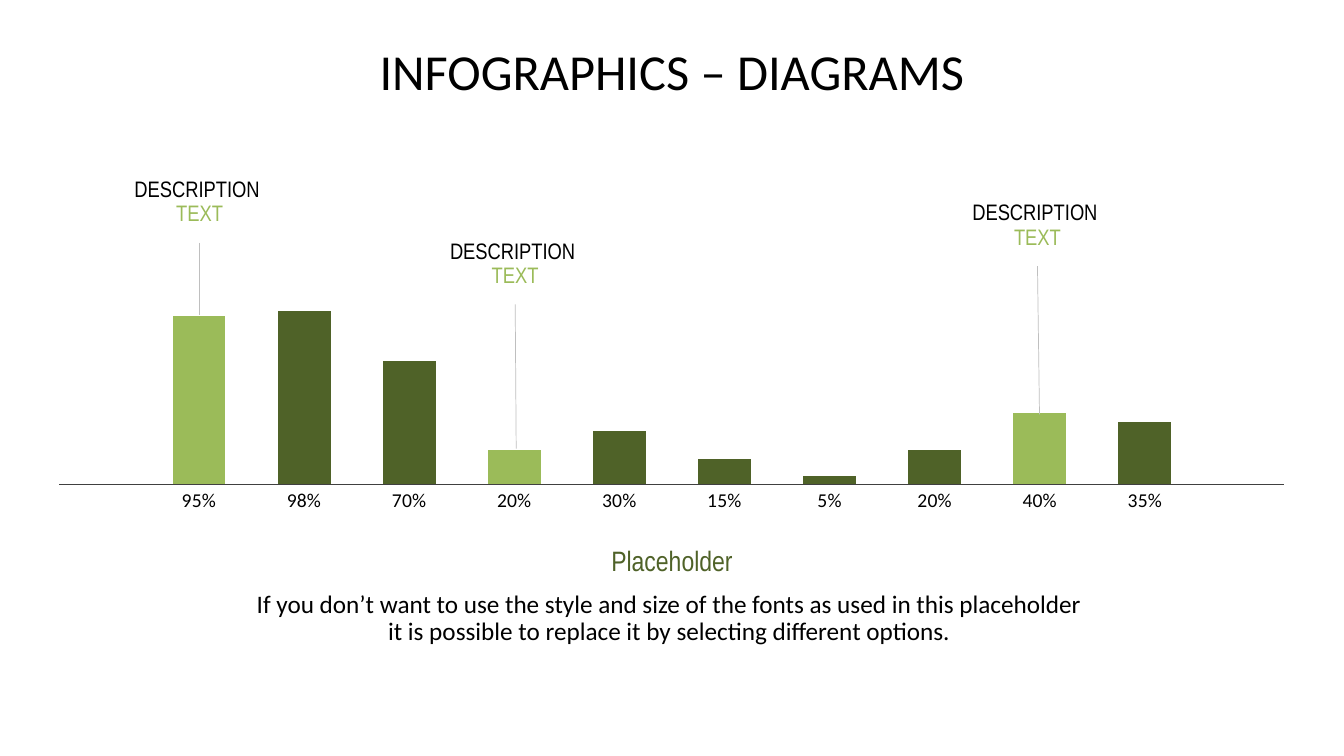
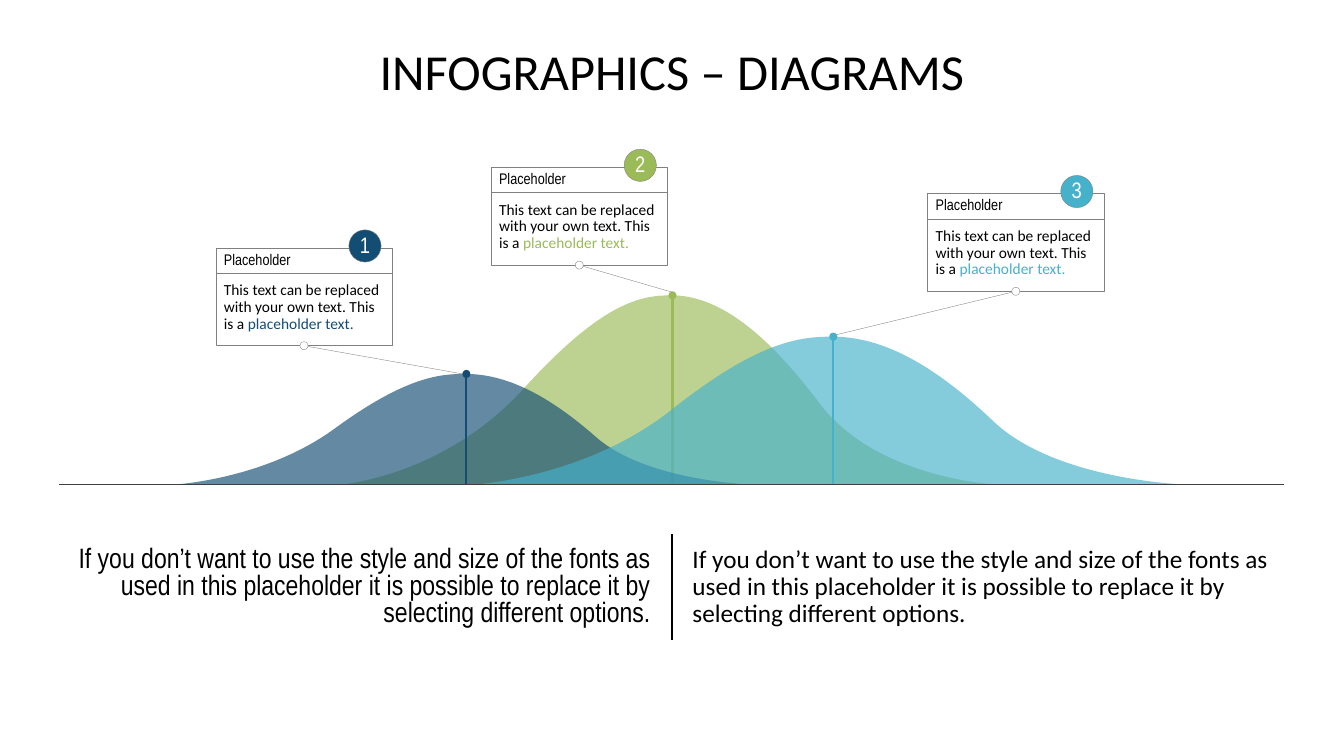
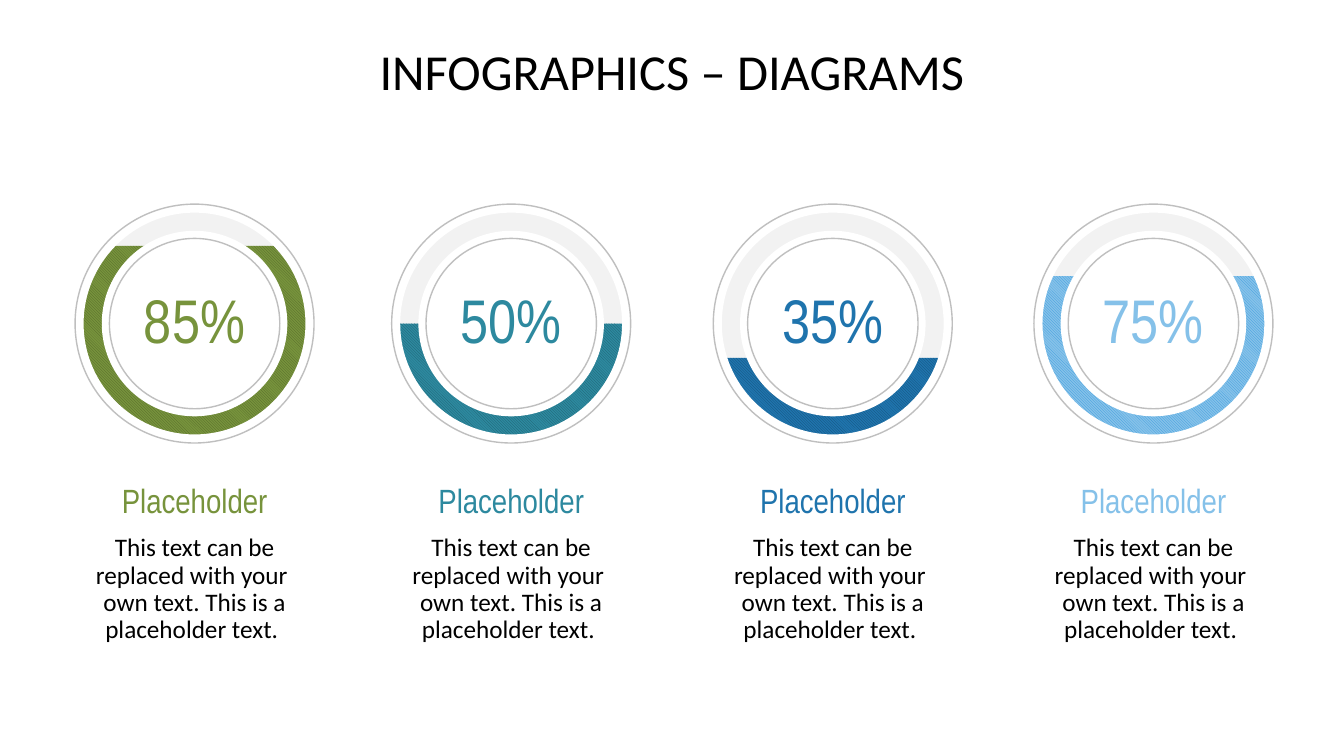
from lxml.etree import SubElement
from pptx import Presentation
from pptx.chart.data import CategoryChartData
from pptx.dml.color import RGBColor
from pptx.enum.chart import XL_CHART_TYPE, XL_TICK_MARK
from pptx.enum.dml import MSO_PATTERN
from pptx.enum.shapes import MSO_CONNECTOR, MSO_SHAPE
from pptx.enum.text import MSO_ANCHOR, PP_ALIGN
from pptx.oxml import parse_xml
from pptx.oxml.ns import nsdecls, qn
from pptx.util import Inches, Pt

# Shared colours, fonts and lengths
BLACK = RGBColor(0x00, 0x00, 0x00)
WHITE = RGBColor(0xFF, 0xFF, 0xFF)
DARK_GREY = RGBColor(0x40, 0x40, 0x40)
GREY = RGBColor(0x80, 0x80, 0x80)
SILVER = RGBColor(0xBF, 0xBF, 0xBF)
PALE_GREY = RGBColor(0xF2, 0xF2, 0xF2)
DARK_GREEN = RGBColor(0x4F, 0x62, 0x28)
OLIVE = RGBColor(0x77, 0x93, 0x3C)
GREEN = RGBColor(0x9B, 0xBB, 0x59)
NAVY = RGBColor(0x14, 0x4D, 0x73)
CYAN = RGBColor(0x45, 0xB1, 0xCB)
DARK_TEAL = RGBColor(0x1E, 0x5B, 0x6A)
TEAL = RGBColor(0x2D, 0x89, 0x9F)
BLUE = RGBColor(0x1F, 0x74, 0xAD)
AZURE = RGBColor(0x34, 0x98, 0xDB)
SKY = RGBColor(0x85, 0xC1, 0xE9)

NARROW = "Arial Narrow"
SANS = "Calibri"
SLIDE_WIDTH, SLIDE_HEIGHT = 13.33, 7.5
LEFT, WIDTH = 0.59, 12.15
BASELINE = 4.81
MIDDLE = SLIDE_WIDTH / 2
NO_INSETS = (0, 0, 0, 0)
BOX_INSETS = (0.1, 0.05, 0.1, 0.05)

# Bell outline, in shares of its width and height
BELL = [
    ("moveTo", [(0, 1)]),
    ("cubicBezTo", [(0, 1), (0.155, 0.963), (0.276, 0.5)]),
    ("cubicBezTo", [(0.397, 0.03), (0.455, 0), (0.5, 0)]),
    ("cubicBezTo", [(0.57, 0), (0.641, 0.19), (0.723, 0.572)]),
    ("cubicBezTo", [(0.805, 0.952), (0.973, 1), (1, 1)]),
    ("close", []),
]
OPTIONS_TEXT = ("If you don’t want to use the style and size of the fonts as used in this "
                "placeholder it is possible to replace it by selecting different options.")


# Text
def span(text, size, font=SANS, color=BLACK):
    return text, size, font, color


def write(frame, paras, align=PP_ALIGN.LEFT, anchor=MSO_ANCHOR.TOP, insets=NO_INSETS,
          spacing=0.9, wrap=True):
    """Fill a text frame; each paragraph is a list of spans."""
    frame.word_wrap = wrap
    frame.vertical_anchor = anchor
    frame.margin_left, frame.margin_top, frame.margin_right, frame.margin_bottom = map(
        Inches, insets)
    for index, spans in enumerate(paras):
        para = frame.add_paragraph() if index else frame.paragraphs[0]
        para.alignment = align
        para.line_spacing = spacing
        para.space_after = Pt(10)
        for text, size, font, color in spans:
            for number, line in enumerate(text.split("\n")):
                if number:
                    para.add_line_break()
                if line:
                    run = para.add_run()
                    run.text = line
                    run.font.size = Pt(size)
                    run.font.name = font
                    run.font.color.rgb = color


def add_text(page, at, paras, **text_format):
    box = page.shapes.add_textbox(*map(Inches, at))
    write(box.text_frame, paras, **text_format)


# Shapes and lines
def paint(shape, fill=None, line=None, weight=0.25):
    shape.shadow.inherit = False
    if fill is None:
        shape.fill.background()
    else:
        shape.fill.solid()
        shape.fill.fore_color.rgb = fill
    if line is None:
        shape.line.fill.background()
    else:
        shape.line.color.rgb = line
        shape.line.width = Pt(weight)


def add_box(page, at, **look):
    box = page.shapes.add_shape(MSO_SHAPE.RECTANGLE, *map(Inches, at))
    paint(box, **look)
    return box


def add_circle(page, x, y, size, **look):
    """Draw a circle round the centre (x, y)."""
    at = (x - size / 2, y - size / 2, size, size)
    circle = page.shapes.add_shape(MSO_SHAPE.OVAL, *map(Inches, at))
    paint(circle, **look)
    return circle


def add_outline(page, at, commands, fill):
    """Draw a curved outline given in shares of its box."""
    left, top, width, height = map(Inches, at)
    builder = page.shapes.build_freeform(left, top, scale=1.0)
    builder.add_line_segments(
        [(left + width, top), (left + width, top + height), (left, top + height)])
    outline = builder.convert_to_shape()
    paint(outline, fill)
    contour = outline.element.spPr.find(".//" + qn("a:path"))
    for child in list(contour):
        contour.remove(child)
    for name, points in commands:
        command = SubElement(contour, qn(f"a:{name}"))
        for x, y in points:
            point = SubElement(command, qn("a:pt"))
            point.set("x", str(round(x * width)))
            point.set("y", str(round(y * height)))
    return outline


def add_line(page, start, end, color, weight):
    line = page.shapes.add_connector(MSO_CONNECTOR.STRAIGHT, *map(Inches, start + end))
    line.line.color.rgb = color
    line.line.width = Pt(weight)
    SubElement(line.element.spPr, qn("a:effectLst"))


def add_page(deck):
    page = deck.slides.add_slide(deck.slide_layouts[6])
    add_text(page, (LEFT, 0.47, WIDTH, 1.18), [[span("INFOGRAPHICS – DIAGRAMS", 36)]],
             align=PP_ALIGN.CENTER)
    return page


def add_baseline(page):
    add_line(page, (LEFT, BASELINE), (LEFT + WIDTH, BASELINE), DARK_GREY, 0.5)


# Column chart page
def add_columns(page):
    data = CategoryChartData()
    data.categories = (0.95, 0.98, 0.7, 0.2, 0.3, 0.15, 0.05, 0.2, 0.4, 0.35)
    data.categories.number_format = "0%"
    data.add_series("Series 1", (97, 100, 71, 20, 31, 15, 5, 20, 41, 36))
    at = (LEFT, 1.32, WIDTH, 4.01)
    chart = page.shapes.add_chart(
        XL_CHART_TYPE.COLUMN_CLUSTERED, *map(Inches, at), data).chart
    chart.has_title = False
    chart.has_legend = False
    chart.font.name = SANS
    chart.font.size = Pt(18)
    chart.font.color.rgb = BLACK

    values = chart.value_axis
    values.minimum_scale, values.maximum_scale = 0, 122
    values.has_major_gridlines = False
    values.visible = False
    names = chart.category_axis
    names.major_tick_mark = XL_TICK_MARK.NONE
    names.format.line.fill.background()
    names.tick_labels.font.size = Pt(14)
    names.tick_labels.number_format = "0%"
    names.tick_labels.number_format_is_linked = False

    plot = chart.plots[0]
    plot.gap_width = 99
    plot.vary_by_categories = False
    series = plot.series[0]
    series.format.fill.solid()
    series.format.fill.fore_color.rgb = DARK_GREEN
    for index in (0, 3, 8):
        fill = series.points[index].format.fill
        fill.solid()
        fill.fore_color.rgb = GREEN

    # Fixed inner plot area, so that the columns stand on the baseline
    area = chart.element.find(".//" + qn("c:plotArea"))
    for old in area.findall(qn("c:layout")):
        area.remove(old)
    sizes = "".join(f'<c:{key} val="{value}"/>' for key, value in
                    (("x", 0.071), ("y", 0.346), ("w", 0.858), ("h", 0.524)))
    area.insert(0, parse_xml(
        f'<c:layout {nsdecls("c")}><c:manualLayout><c:layoutTarget val="inner"/>'
        f'<c:xMode val="edge"/><c:yMode val="edge"/>{sizes}</c:manualLayout></c:layout>'))


def add_label(page, x, top, column):
    """Caption over a column, with a line down to the column's top."""
    add_line(page, (x, top + 0.64), column, SILVER, 0.5)
    add_text(page, (x - 0.85, top, 1.7, 0.63),
             [[span("DESCRIPTION \n", 16, NARROW), span("TEXT", 16, NARROW, GREEN)]],
             align=PP_ALIGN.CENTER)


def build_columns_page(deck):
    page = add_page(deck)
    add_columns(page)
    for label in ((1.98, 1.77, (1.98, 3.13)), (5.11, 2.38, (5.12, 4.45)),
                  (10.29, 2, (10.31, 4.11))):
        add_label(page, *label)
    add_text(page, (LEFT, 5.38, WIDTH, 0.97), [
        [span("Placeholder", 20, NARROW, DARK_GREEN)],
        [span("If you don’t want to use the style and size of the fonts as used in this "
              "placeholder \nit is possible to replace it by selecting different options. ",
              18)],
    ], align=PP_ALIGN.CENTER, insets=BOX_INSETS)
    add_baseline(page)


# Bell curves page
def add_bell(page, left, width, top, color):
    bell = add_outline(page, (left, top, width, BASELINE - top), BELL, color)
    tint = bell.element.spPr.find(qn("a:solidFill"))[0]
    SubElement(tint, qn("a:alpha")).set("val", "66000")
    peak = left + width / 2 + 0.01
    add_line(page, (peak, top), (peak, BASELINE), color, 1.5)
    add_circle(page, peak, top, 0.08, fill=color)


def add_callout(page, number, left, top, target, color):
    width, height = 1.75, 0.97
    handle = (left + width / 2, top + height)
    add_line(page, target, handle, GREY, 0.25)
    card = add_box(page, (left, top, width, height), line=GREY)
    write(card.text_frame, [
        [span("Placeholder", 11, NARROW)],
        [span("This text can be replaced with your own text. This is a ", 11),
         span("placeholder text.", 11, SANS, color)],
    ], insets=(0.08, 0.04, 0.08, 0.08))
    add_line(page, (left, top + 0.25), (left + width, top + 0.25), GREY, 0.25)
    badge = add_circle(page, left + 1.48, top - 0.02, 0.32, fill=color, line=GREY)
    write(badge.text_frame, [[span(str(number), 16, NARROW, WHITE)]],
          align=PP_ALIGN.CENTER, anchor=MSO_ANCHOR.MIDDLE)
    add_circle(page, *handle, 0.08, fill=WHITE, line=GREY)


def build_bells_page(deck):
    page = add_page(deck)
    add_bell(page, 3.36, 6.6, 2.93, GREEN)
    add_bell(page, 1.7, 5.83, 3.71, NAVY)
    add_callout(page, 1, 2.14, 2.46, (4.59, 3.71), NAVY)
    add_callout(page, 2, 4.87, 1.66, (6.67, 2.9), GREEN)
    add_bell(page, 4.67, 7.17, 3.34, CYAN)
    add_callout(page, 3, 9.2, 1.92, (8.3, 3.32), CYAN)
    add_line(page, (MIDDLE, 5.3), (MIDDLE, 6.35), BLACK, 1.5)
    add_baseline(page)
    add_text(page, (LEFT, 5.3, 5.96, 1.05), [[span(OPTIONS_TEXT, 20, NARROW)]],
             align=PP_ALIGN.RIGHT, anchor=MSO_ANCHOR.MIDDLE, insets=BOX_INSETS, spacing=0.8)
    add_text(page, (6.77, 5.3, 5.96, 1.05), [[span(OPTIONS_TEXT, 18)]],
             anchor=MSO_ANCHOR.MIDDLE, insets=BOX_INSETS)


# Gauges page
def window_commands(radius):
    """Square with a round hole, in shares of the square."""
    bend = radius * 0.55
    low, high = 0.5 - radius, 0.5 + radius
    near, far = 0.5 - bend, 0.5 + bend
    return [
        ("moveTo", [(0, 0)]),
        ("lnTo", [(0, 1)]),
        ("lnTo", [(1, 1)]),
        ("lnTo", [(1, 0)]),
        ("close", []),
        ("moveTo", [(0.5, high)]),
        ("cubicBezTo", [(near, high), (low, far), (low, 0.5)]),
        ("cubicBezTo", [(low, near), (near, low), (0.5, low)]),
        ("cubicBezTo", [(far, low), (high, near), (high, 0.5)]),
        ("cubicBezTo", [(high, far), (far, high), (0.5, high)]),
        ("close", []),
    ]


def add_gauge(page, x, share, level, color, stripe):
    """Ring round x whose colour reaches up to the height of level."""
    y, side = 3.21, 2.87
    add_box(page, (x - 1.28, 2.02, 2.5, 2.37), fill=PALE_GREY)
    filled = add_box(page, (x - 1.26, level, 2.5, 4.47 - level))
    filled.fill.patterned()
    filled.fill.pattern = MSO_PATTERN.LIGHT_DOWNWARD_DIAGONAL
    filled.fill.fore_color.rgb = stripe
    filled.fill.back_color.rgb = color
    add_outline(page, (x - side / 2, y - side / 2, side, side),
                window_commands(1.1 / side), WHITE)
    add_circle(page, x, y, 2.37, line=SILVER, weight=1)
    add_circle(page, x, y, 1.84, fill=WHITE)
    add_circle(page, x, y, 1.69, line=SILVER, weight=1)
    center = add_circle(page, x, y, 1.61)
    write(center.text_frame, [[span(share, 44, NARROW, color)]],
          align=PP_ALIGN.CENTER, anchor=MSO_ANCHOR.MIDDLE)


def add_gauge_text(page, x, color):
    add_text(page, (x - 1.21, 4.81, 2.42, 1.55), [
        [span("Placeholder", 24, NARROW, color)],
        [span("This text can be replaced with your \nown text. This is a placeholder text. ",
              18)],
    ], align=PP_ALIGN.CENTER)


def build_gauges_page(deck):
    page = add_page(deck)
    gauges = (
        (1.93, "85%", 2.44, OLIVE, DARK_GREEN),
        (5.07, "50%", 3.21, TEAL, DARK_TEAL),
        (8.26, "35%", 3.55, BLUE, NAVY),
        (11.44, "75%", 2.74, SKY, AZURE),
    )
    for gauge in gauges:
        add_gauge(page, *gauge)
    for x, _, _, color, _ in gauges:
        add_gauge_text(page, x, color)


def main():
    deck = Presentation()
    deck.slide_width, deck.slide_height = Inches(SLIDE_WIDTH), Inches(SLIDE_HEIGHT)
    build_columns_page(deck)
    build_bells_page(deck)
    build_gauges_page(deck)
    deck.save("out.pptx")


if __name__ == "__main__":
    main()
